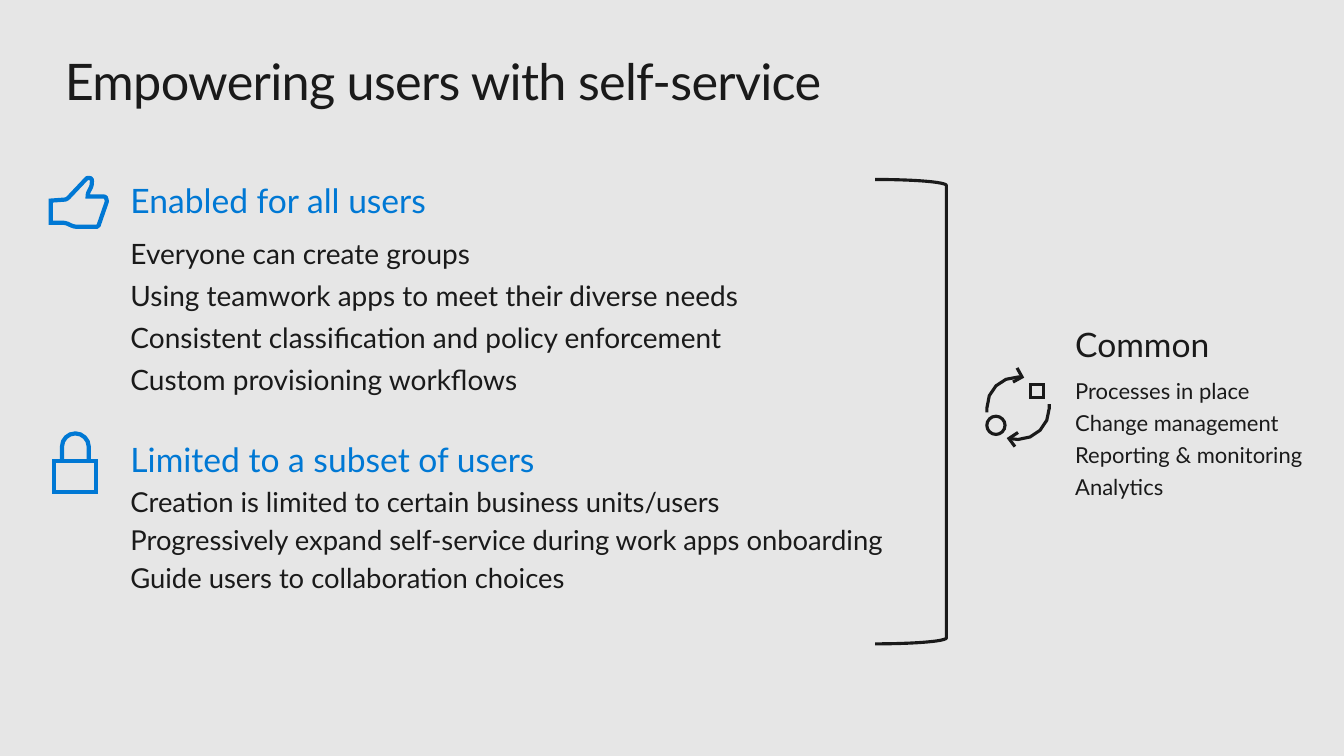
import math
from dataclasses import dataclass

import pptx
import pptx.dml.color
import pptx.enum.shapes
import pptx.enum.text
import pptx.oxml.ns
import pptx.shapes.autoshape
import pptx.slide
import pptx.util
from lxml import etree

Point = tuple[float, float]
Segment = tuple[Point, ...]


@dataclass(frozen=True)
class Theme:
    font: str = "Lato"
    background: str = "E6E6E6"
    ink: str = "1A1A1A"
    accent: str = "0078D4"
    title: float = 36
    heading: float = 24
    body: float = 20
    subset_body: float = 19.6
    common_body: float = 15.7
    icon_line: float = 3
    detail_line: float = 2.25


@dataclass(frozen=True)
class Line:
    text: str
    size: float
    color: str
    before: float = 0
    after: float = 0
    spacing: float = 1
    tracking: int = 0


@dataclass(frozen=True)
class TextBlock:
    left: float
    top: float
    width: float
    height: float
    lines: list[Line]
    inset_x: float = 0
    inset_y: float = 0
    anchor: pptx.enum.text.MSO_ANCHOR = pptx.enum.text.MSO_ANCHOR.TOP


@dataclass(frozen=True)
class Stroke:
    start: Point
    segments: list[Segment]
    closed: bool = False


@dataclass(frozen=True)
class Icon:
    color: str
    weight: float
    strokes: list[Stroke]


THEME = Theme()
CURVE_STEPS = 4


def polyline(*points: Point, closed: bool = False) -> Stroke:
    return Stroke(points[0], [(point,) for point in points[1:]], closed)


def rectangle(left: float, top: float, right: float, bottom: float) -> Stroke:
    return polyline((left, top), (right, top), (right, bottom), (left, bottom), closed=True)


def circle(center: Point, radius: float, sides: int = 16) -> Stroke:
    angles = [2 * math.pi * side / sides for side in range(sides)]
    return polyline(*((center[0] + radius * math.cos(angle), center[1] + radius * math.sin(angle))
                      for angle in angles), closed=True)


def bezier(start: Point, first: Point, second: Point, end: Point, t: float) -> Point:
    weights = ((1 - t) ** 3, 3 * t * (1 - t) ** 2, 3 * t * t * (1 - t), t ** 3)
    corners = (start, first, second, end)
    return (sum(w * corner[0] for w, corner in zip(weights, corners)),
            sum(w * corner[1] for w, corner in zip(weights, corners)))


def flatten(stroke: Stroke) -> list[Point]:
    points = [stroke.start]
    for segment in stroke.segments:
        if len(segment) == 1:
            points.append(segment[0])
        else:
            start = points[-1]
            points += [bezier(start, *segment, step / CURVE_STEPS)
                       for step in range(1, CURVE_STEPS + 1)]
    return points


def to_length(point: Point) -> tuple[int, int]:
    return pptx.util.Pt(point[0]), pptx.util.Pt(point[1])


def outline(shape: pptx.shapes.autoshape.Shape, color: str, weight: float) -> None:
    shape.shadow.inherit = False
    shape.fill.background()
    shape.line.color.rgb = pptx.dml.color.RGBColor.from_string(color)
    shape.line.width = pptx.util.Pt(weight)


def draw_icon(slide: pptx.slide.Slide, icon: Icon) -> None:
    builder = slide.shapes.build_freeform(*to_length(icon.strokes[0].start))
    for index, stroke in enumerate(icon.strokes):
        if index:
            builder.move_to(*to_length(stroke.start))
        builder.add_line_segments([to_length(point) for point in flatten(stroke)[1:]],
                                  close=stroke.closed)
    shape = builder.convert_to_shape()
    outline(shape, icon.color, icon.weight)
    line = shape.element.spPr.find(pptx.oxml.ns.qn("a:ln"))
    etree.SubElement(line, pptx.oxml.ns.qn("a:miter"), lim="800000")


def draw_text(slide: pptx.slide.Slide, block: TextBlock) -> None:
    shape = slide.shapes.add_textbox(*map(pptx.util.Pt, (block.left, block.top,
                                                         block.width, block.height)))
    frame = shape.text_frame
    frame.word_wrap = True
    frame.vertical_anchor = block.anchor
    frame.margin_left = frame.margin_right = pptx.util.Pt(block.inset_x)
    frame.margin_top = frame.margin_bottom = pptx.util.Pt(block.inset_y)
    frame.text = "\n".join(line.text for line in block.lines)
    for paragraph, line in zip(frame.paragraphs, block.lines):
        paragraph.space_before = pptx.util.Pt(line.before)
        paragraph.space_after = pptx.util.Pt(line.after)
        paragraph.line_spacing = line.spacing
        for run in paragraph.runs:
            run.font.name = THEME.font
            run.font.size = pptx.util.Pt(line.size)
            run.font.color.rgb = pptx.dml.color.RGBColor.from_string(line.color)
            if line.tracking:
                run.font._element.set("spc", str(line.tracking))


TITLE = TextBlock(46.3, 36, 867.6, 44, [
    Line("Empowering users with self-service", THEME.title, THEME.ink, tracking=-50)])

AUDIENCES = TextBlock(93.2, 128.2, 587, 303, [
    Line("Enabled for all users", THEME.heading, THEME.accent, after=12),
    *(Line(text, THEME.body, THEME.ink, after=6) for text in (
        "Everyone can create groups",
        "Using teamwork apps to meet their diverse needs",
        "Consistent classification and policy enforcement",
        "Custom provisioning workflows")),
    Line("Limited to a subset of users", THEME.heading, THEME.accent, before=24.5),
    *(Line(text, THEME.subset_body, THEME.ink, before=3.9) for text in (
        "Creation is limited to certain business units/users",
        "Progressively expand self-service during work apps onboarding",
        "Guide users to collaboration choices"))])

COMMON = TextBlock(753.6, 128.2, 202.3, 332, [
    Line("Common", THEME.heading, THEME.ink, after=11.8),
    *(Line(text, THEME.common_body, THEME.ink, after=5.9, spacing=0.9) for text in (
        "Processes in place", "Change management", "Reporting & monitoring", "Analytics"))],
    inset_x=14.4, inset_y=11.5, anchor=pptx.enum.text.MSO_ANCHOR.MIDDLE)

THUMB = Icon(THEME.accent, THEME.icon_line, [Stroke((36.3, 152), [
    ((36.3, 159.1),), ((43.9, 159.1),),
    ((43.9, 159.1), (46.8, 159.1), (48.2, 159.8)), ((49.7, 160.6), (52.6, 162), (54.7, 162)),
    ((67.7, 162),), ((69.1, 162),), ((70.6, 161.3), (70.6, 160.6), (70.6, 160.6)),
    ((76.3, 144),), ((76.3, 144), (76.3, 142.6), (75.6, 141.1)),
    ((74.9, 140.4), (74.2, 140.4), (74.2, 140.4)),
    ((62.6, 140.4),), ((62.6, 140.4), (62.6, 138.2), (63.4, 136.8)),
    ((64.1, 135.4), (65.5, 133.2), (65.5, 131.8)), ((65.5, 130.3), (66.2, 128.2), (64.8, 127.4)),
    ((63.4, 126.7), (61.9, 127.4), (61.9, 127.4)), ((49, 141.1),),
    ((49, 141.1), (47.5, 142.6), (46.1, 142.6)), ((36.3, 143.3),)],
    closed=True)])

LOCK = Icon(THEME.accent, THEME.icon_line, [
    rectangle(38.5, 329.2, 68.8, 351.6),
    Stroke((63.4, 329.2), [((63.4, 319),), ((63.4, 313.9), (59, 309.6), (53.8, 309.6)),
                           ((48.5, 309.6), (44.3, 313.9), (44.3, 319)), ((44.3, 329.2),)])])

CYCLE = Icon(THEME.ink, THEME.detail_line, [
    Stroke((704.9, 294.5), [((704.9, 291.6),), ((704.9, 278.6), (715, 269.3), (727.2, 269.3)),
                            ((730.1, 269.3),)]),
    Stroke((720.7, 313.2), [((727.2, 313.9),), ((739.4, 313.9), (749.5, 303.8), (749.5, 291.6)),
                            ((749.5, 288.7),)]),
    polyline((727.2, 308.9), (720.7, 313.2), (725, 319)),
    polyline((723.6, 272.9), (730.1, 269.3), (726.5, 262.8)),
    rectangle(736.2, 274.8, 745.6, 284.2),
    circle((711.4, 303.8), 6.5)])


def main() -> None:
    presentation = pptx.Presentation()
    presentation.slide_width = pptx.util.Pt(960)
    presentation.slide_height = pptx.util.Pt(540)
    slide = presentation.slides.add_slide(presentation.slide_layouts[6])
    slide.background.fill.solid()
    slide.background.fill.fore_color.rgb = pptx.dml.color.RGBColor.from_string(THEME.background)
    for block in (TITLE, AUDIENCES, COMMON):
        draw_text(slide, block)
    bracket = slide.shapes.add_shape(pptx.enum.shapes.MSO_SHAPE.RIGHT_BRACKET,
                                     *map(pptx.util.Pt, (625, 128.2, 51, 331.7)))
    outline(bracket, THEME.ink, THEME.detail_line)
    for icon in (THUMB, LOCK, CYCLE):
        draw_icon(slide, icon)
    presentation.save("out.pptx")


if __name__ == "__main__":
    main()
